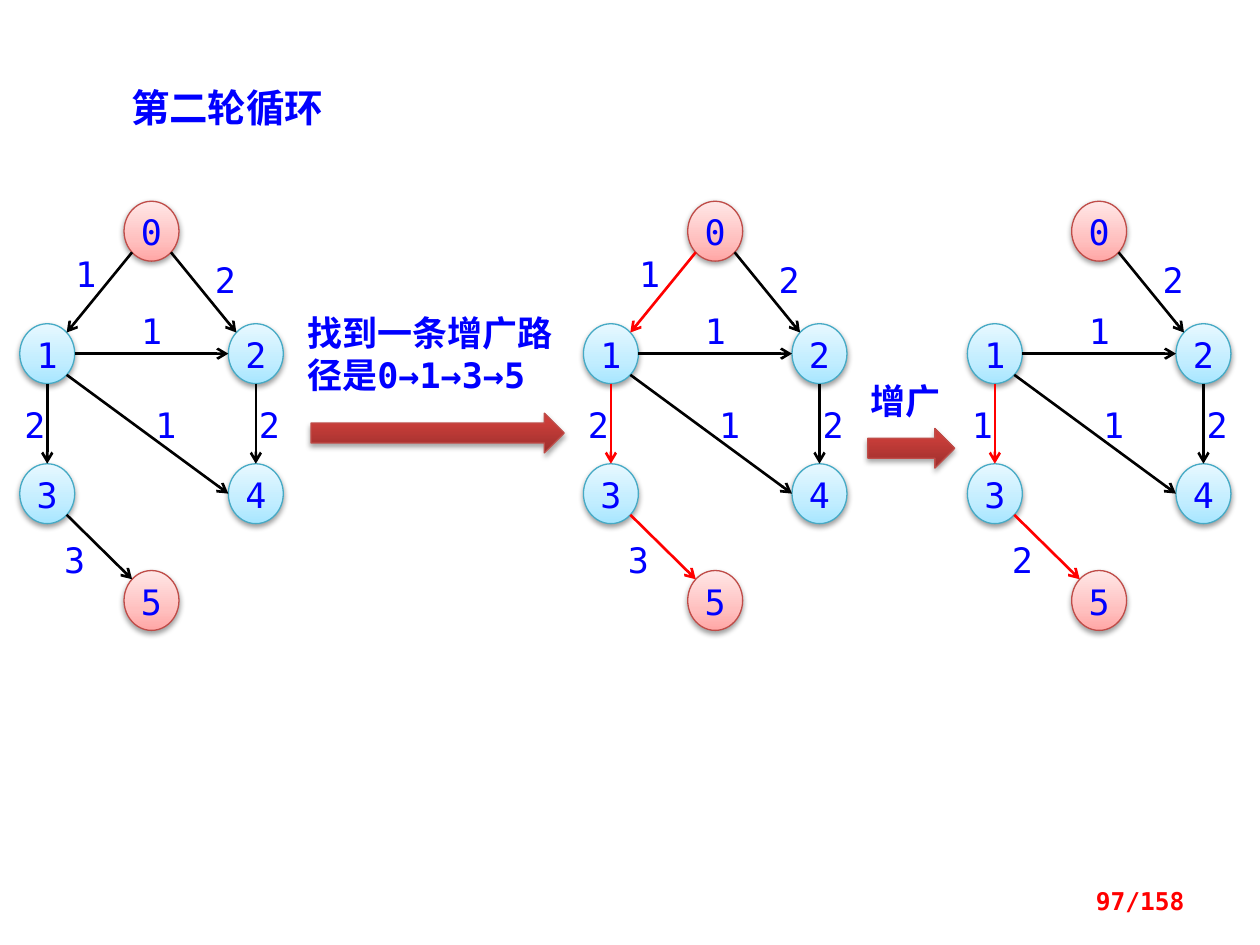
from copy import deepcopy

from lxml import etree
from pptx import Presentation
from pptx.dml.color import RGBColor
from pptx.enum.shapes import MSO_CONNECTOR, MSO_SHAPE
from pptx.enum.text import MSO_ANCHOR, MSO_AUTO_SIZE, PP_ALIGN
from pptx.oxml.ns import qn
from pptx.util import Pt

OVAL, RECT, ARROW = MSO_SHAPE.OVAL, MSO_SHAPE.RECTANGLE, MSO_SHAPE.RIGHT_ARROW
STRAIGHT = MSO_CONNECTOR.STRAIGHT
LEFT, CENTER, RIGHT = PP_ALIGN.LEFT, PP_ALIGN.CENTER, PP_ALIGN.RIGHT
TOP, MIDDLE = MSO_ANCHOR.TOP, MSO_ANCHOR.MIDDLE
FIT_NONE, FIT_SHAPE = MSO_AUTO_SIZE.NONE, MSO_AUTO_SIZE.SHAPE_TO_FIT_TEXT

MONO, HEADING = "DejaVu Sans Mono", "Noto Sans CJK SC"
COLORS = {"text": "0000FF", "edge": "000000", "path": "FF0000", "page": "FF0000",
          "label": "FFFFFF", "terminal_line": "BF4C48", "inner_line": "46AAC5"}
GRADIENTS = {
    "terminal": [(0, "FFA6A5"), (0.35, "FFC0BF"), (1, "FFE7E7")],
    "inner": [(0, "A7E6FF"), (0.35, "C1EDFF"), (1, "E7F8FF")],
    "step": [(0, "9C2F2D"), (0.8, "CB3E3A"), (1, "CE3B37")],
}

NODE_W, NODE_H = 31.4, 34.2
LABEL_W, LABEL_H = 10.8, 23
NODES = {"0": (59.6, 0), "1": (0, 70), "2": (119.2, 70),
         "3": (0, 150), "4": (119.2, 150), "5": (59.6, 211)}
DIAGONAL = 0.5 ** 0.5
SITES = {"N": (0, -1), "S": (0, 1), "W": (-1, 0), "E": (1, 0),
         "NW": (-DIAGONAL, -DIAGONAL), "NE": (DIAGONAL, -DIAGONAL),
         "SW": (-DIAGONAL, DIAGONAL), "SE": (DIAGONAL, DIAGONAL)}
EDGES = {"01": ("SW", "NE", 32.4, 29.5), "02": ("SE", "NW", 112.2, 33),
         "12": ("E", "W", 70, 62.5), "14": ("SE", "W", 78.2, 116),
         "24": ("S", "N", 137.3, 116), "13": ("S", "N", 3.2, 116),
         "35": ("SE", "NW", 26, 193)}


def rgb(name):
    return RGBColor.from_string(COLORS[name])


def write(frame, text, size=20, color="text", font=MONO, bold=False, align=LEFT):
    frame.text = text
    paragraph = frame.paragraphs[0]
    paragraph.alignment = align
    paragraph.font.size = Pt(size)
    paragraph.font.name = font
    paragraph.font.bold = bold
    paragraph.font.color.rgb = rgb(color)


def clear_margins(frame):
    frame.margin_left = frame.margin_top = frame.margin_right = frame.margin_bottom = 0


def add_glossy(shapes, preset, box, gradient, line, opacity, distance):
    shape = shapes.add_shape(preset, *map(Pt, box))
    shape.fill.gradient()
    shape.fill.gradient_angle = 90
    stops = shape._element.spPr.find(qn("a:gradFill")).find(qn("a:gsLst"))
    stops.insert(1, deepcopy(stops[0]))
    for stop, (position, color) in zip(shape.fill.gradient_stops, GRADIENTS[gradient]):
        stop.position = position
        stop.color.rgb = RGBColor.from_string(color)
    shape.line.color.rgb = rgb(line)
    shape.line.width = Pt(0.75)
    shape.shadow.inherit = False
    effects = shape._element.spPr.find(qn("a:effectLst"))
    shadow = etree.SubElement(effects, qn("a:outerShdw"), blurRad=str(Pt(3.15)),
                              dist=str(Pt(distance)), dir="5400000", rotWithShape="0")
    black = etree.SubElement(shadow, qn("a:srgbClr"), val="000000")
    etree.SubElement(black, qn("a:alpha"), val=str(opacity * 1000))
    return shape


def add_label(shapes, left, top, weight):
    label = shapes.add_shape(RECT, Pt(left), Pt(top), Pt(LABEL_W), Pt(LABEL_H))
    label.fill.solid()
    label.fill.fore_color.rgb = rgb("label")
    label.line.fill.background()
    label.shadow.inherit = False
    clear_margins(label.text_frame)
    label.text_frame.word_wrap = False
    write(label.text_frame, weight, align=CENTER)


def add_node(shapes, left, top, name):
    kind = "terminal" if name in "05" else "inner"
    node = add_glossy(shapes, OVAL, (left, top, NODE_W, NODE_H), kind, kind + "_line", 38, 1.57)
    clear_margins(node.text_frame)
    node.text_frame.margin_top = Pt(0.7)
    node.text_frame.word_wrap = False
    node.text_frame.vertical_anchor = MIDDLE
    write(node.text_frame, name, align=CENTER)


def site_point(left, top, name, site):
    x, y = NODES[name]
    dx, dy = SITES[site]
    return Pt(left + x + NODE_W / 2 * (1 + dx)), Pt(top + y + NODE_H / 2 * (1 + dy))


def add_edge(shapes, start, end, color):
    edge = shapes.add_connector(STRAIGHT, *start, *end)
    edge.line.color.rgb = rgb(color)
    edge.line.width = Pt(1.5)
    etree.SubElement(edge.line._get_or_add_ln(), qn("a:tailEnd"), type="arrow")
    etree.SubElement(edge._element.spPr, qn("a:effectLst"))


def add_graph(slide, left, top, weights, path=()):
    shapes = slide.shapes.add_group_shape().shapes
    for edge, weight in weights.items():
        x, y = EDGES[edge][2:]
        add_label(shapes, left + x, top + y, weight)
    for name, (x, y) in NODES.items():
        add_node(shapes, left + x, top + y, name)
    for edge in weights:
        start, end = (site_point(left, top, name, site) for name, site in zip(edge, EDGES[edge]))
        add_edge(shapes, start, end, "path" if edge in path else "edge")


def add_step(slide, left, top, width, height, caption, arrow):
    shapes = slide.shapes.add_group_shape().shapes
    frame = shapes.add_textbox(Pt(left), Pt(top), Pt(width), Pt(height)).text_frame
    frame.word_wrap = True
    frame.auto_size = FIT_SHAPE
    write(frame, caption, bold=True)
    x, y, length = arrow
    add_glossy(shapes, ARROW, (left + x, top + y, length, 22.7), "step", "terminal_line", 35, 1.81)


def add_title(slide, left, top, width, height):
    title = slide.shapes.title
    title.left, title.top, title.width, title.height = map(Pt, (left, top, width, height))
    frame = title.text_frame
    frame.word_wrap = True
    frame.auto_size = FIT_NONE
    frame.vertical_anchor = TOP
    write(frame, "第二轮循环", size=22, font=HEADING, bold=True)


def add_page_number(slide, left, top, width, height):
    frame = slide.shapes.add_textbox(Pt(left), Pt(top), Pt(width), Pt(height)).text_frame
    frame.word_wrap = True
    frame.vertical_anchor = MIDDLE
    write(frame, "97/158", size=14, color="page", bold=True, align=RIGHT)


def main():
    deck = Presentation()
    deck.slide_width, deck.slide_height = Pt(720), Pt(540)
    slide = deck.slides.add_slide(deck.slide_layouts[5])
    before = {"01": "1", "02": "2", "12": "1", "14": "1", "24": "2", "13": "2", "35": "3"}
    after = {edge: weight for edge, weight in before.items() if edge != "01"}
    after.update({"13": "1", "35": "2"})
    path = ("01", "13", "35")

    add_title(slide, 67.7, 44.6, 135.4, 33.8)
    add_graph(slide, 333.4, 115, before, path)
    add_step(slide, 168.5, 174.2, 167, 55.4, "找到一条增广路径是0→1→3→5", (9.2, 61.9, 144.7))
    add_step(slide, 490.3, 213.1, 67, 31.7, "增广", (5.6, 31.7, 49.7))
    add_graph(slide, 11.3, 115, before)
    add_graph(slide, 552.8, 115, after, path)
    add_page_number(slide, 516.2, 500.4, 167.8, 28.8)
    deck.save("out.pptx")


if __name__ == "__main__":
    main()
